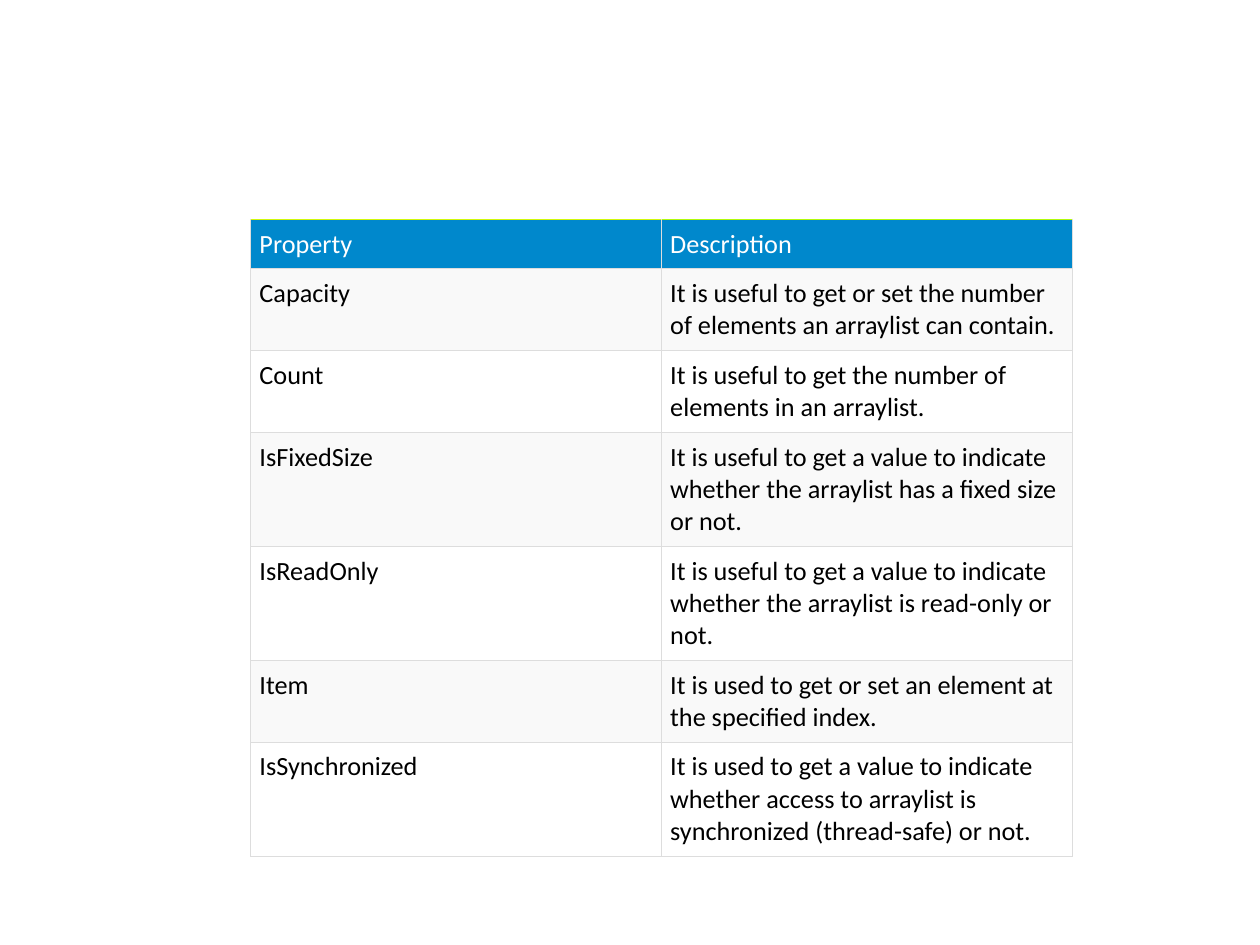
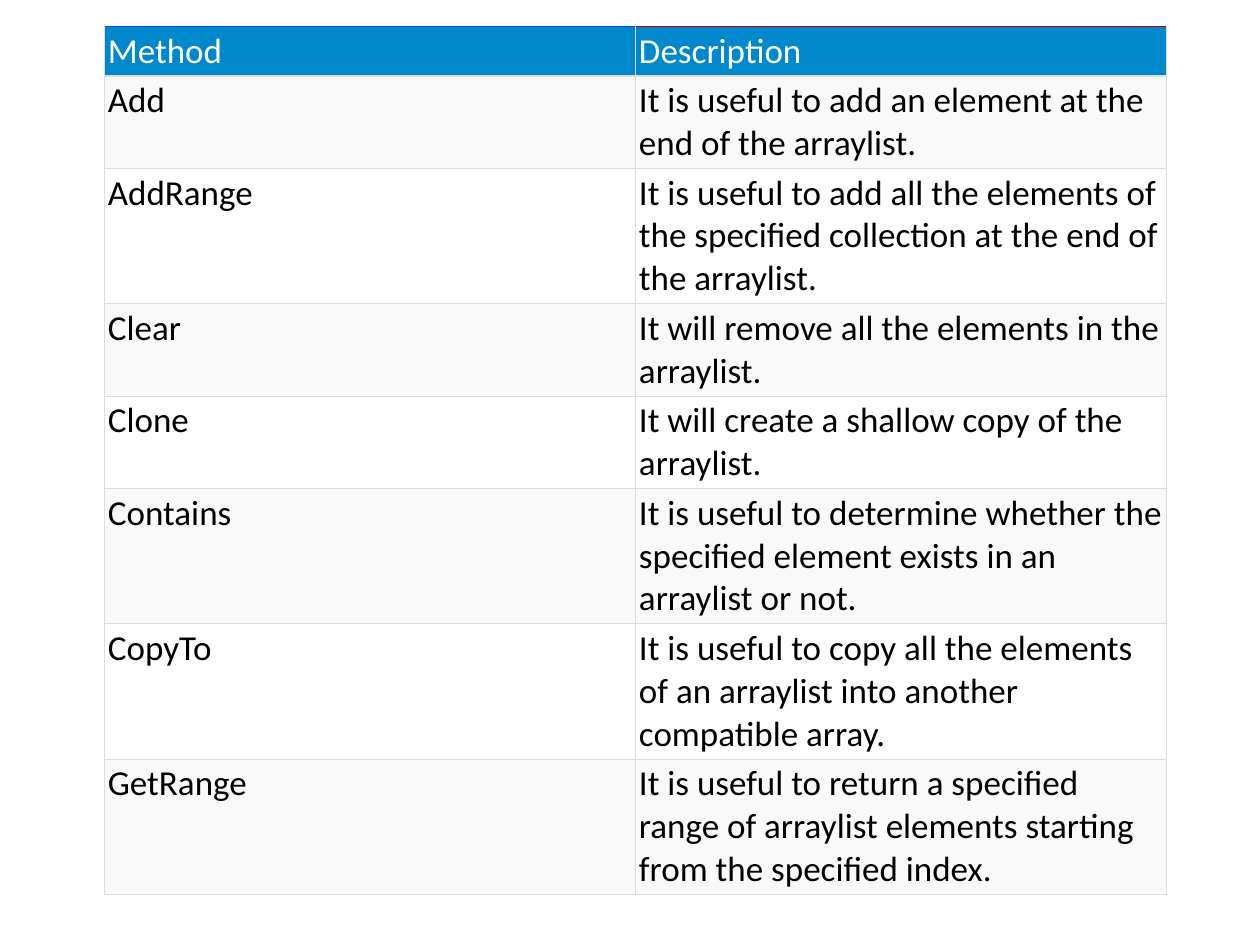
"""Build two slides of reference tables for the properties and methods of an arraylist."""
from dataclasses import dataclass

import pptx
import pptx.dml.color
import pptx.enum.text
import pptx.oxml.ns
import pptx.slide
import pptx.table
import pptx.util
from lxml import etree

RGBColor = pptx.dml.color.RGBColor
Inches = pptx.util.Inches
Pt = pptx.util.Pt

SLIDE_WIDTH = Inches(10)
SLIDE_HEIGHT = Inches(7.5)
BLANK_LAYOUT = 6
FONT = "Calibri"
LINE_SPACING = 1.22
BORDER_WIDTH = Pt(0.75)

HEADER_BLUE = RGBColor(0x00, 0x88, 0xCC)
WHITE = RGBColor(0xFF, 0xFF, 0xFF)
BLACK = RGBColor(0x00, 0x00, 0x00)
STRIPE_GREY = RGBColor(0xF9, 0xF9, 0xF9)
BORDER_GREY = RGBColor(0xDD, 0xDD, 0xDD)
LIME = RGBColor(0xD0, 0xF8, 0x0B)
YELLOW_GREEN = RGBColor(0xB0, 0xFA, 0x0B)
ROYAL_BLUE = RGBColor(0x00, 0x50, 0xDF)
DARK_RED = RGBColor(0xB0, 0x02, 0x0B)


@dataclass(frozen=True)
class Entry:
    name: str
    description: str
    lines: int = 2


@dataclass(frozen=True)
class ReferenceTable:
    heading: str
    left_percent: float
    top_percent: float
    width_percent: float
    size: int
    inset: float
    header_tops: tuple[RGBColor, RGBColor]
    entries: tuple[Entry, ...]


PROPERTIES = ReferenceTable(
    heading="Property",
    left_percent=19.9,
    top_percent=23.2,
    width_percent=65.2,
    size=15,
    inset=5,
    header_tops=(LIME, YELLOW_GREEN),
    entries=(
        Entry("Capacity", "It is useful to get or set the number of elements an arraylist can contain."),
        Entry("Count", "It is useful to get the number of elements in an arraylist."),
        Entry("IsFixedSize", "It is useful to get a value to indicate whether the arraylist "
              "has a fixed size or not.", 3),
        Entry("IsReadOnly", "It is useful to get a value to indicate whether the arraylist "
              "is read-only or not.", 3),
        Entry("Item", "It is used to get or set an element at the specified index."),
        Entry("IsSynchronized", "It is used to get a value to indicate whether access to arraylist "
              "is synchronized (thread-safe) or not.", 3),
    ),
)

METHODS = ReferenceTable(
    heading="Method",
    left_percent=8.3,
    top_percent=2.8,
    width_percent=84.3,
    size=20,
    inset=1.9,
    header_tops=(ROYAL_BLUE, DARK_RED),
    entries=(
        Entry("Add", "It is useful to add an element at the end of the arraylist."),
        Entry("AddRange", "It is useful to add all the elements of the specified collection "
              "at the end of the arraylist.", 3),
        Entry("Clear", "It will remove all the elements in the arraylist."),
        Entry("Clone", "It will create a shallow copy of the arraylist."),
        Entry("Contains", "It is useful to determine whether the specified element exists "
              "in an arraylist or not.", 3),
        Entry("CopyTo", "It is useful to copy all the elements of an arraylist into another "
              "compatible array.", 3),
        Entry("GetRange", "It is useful to return a specified range of arraylist elements "
              "starting from the specified index.", 3),
    ),
)


def share(length: int, percent: float) -> int:
    """Return a percentage of a slide length."""
    return round(length * percent / 100)


def set_borders(cell: pptx.table._Cell, top: RGBColor) -> None:
    """Outline a cell in grey, with its own colour along the top."""
    qn = pptx.oxml.ns.qn
    properties = cell._tc.get_or_add_tcPr()
    for side in "LRTB":
        line = etree.SubElement(properties, qn(f"a:ln{side}"), w=str(BORDER_WIDTH))
        fill = etree.SubElement(line, qn("a:solidFill"))
        etree.SubElement(fill, qn("a:srgbClr"), val=str(top if side == "T" else BORDER_GREY))


def format_cell(cell: pptx.table._Cell, text: str, design: ReferenceTable,
                fill: RGBColor, ink: RGBColor, top: RGBColor) -> None:
    """Write and style one table cell."""
    set_borders(cell, top)
    cell.fill.solid()
    cell.fill.fore_color.rgb = fill
    inset = Pt(design.inset)
    cell.margin_left = cell.margin_right = cell.margin_top = cell.margin_bottom = inset
    cell.text_frame.text = text
    for span in cell.text_frame.paragraphs[0].runs:
        span.font.name = FONT
        span.font.size = Pt(design.size)
        span.font.bold = False
        span.font.color.rgb = ink


def draw_table(page: pptx.slide.Slide, design: ReferenceTable) -> None:
    """Draw a header row and striped entries, each row as tall as its lines need."""
    rows = (Entry(design.heading, "Description", 1), *design.entries)
    heights = [Pt(2 * design.inset + design.size * LINE_SPACING * row.lines) for row in rows]
    frame = page.shapes.add_table(
        len(rows), 2, share(SLIDE_WIDTH, design.left_percent),
        share(SLIDE_HEIGHT, design.top_percent),
        share(SLIDE_WIDTH, design.width_percent), sum(heights))
    table = frame.table
    for index, (row, height) in enumerate(zip(rows, heights)):
        table.rows[index].height = height
        is_header = index == 0
        stripe = STRIPE_GREY if index % 2 else WHITE
        for column, text in enumerate((row.name, row.description)):
            cell = table.cell(index, column)
            format_cell(cell, text, design,
                        fill=HEADER_BLUE if is_header else stripe,
                        ink=WHITE if is_header else BLACK,
                        top=design.header_tops[column] if is_header else BORDER_GREY)
            if is_header:
                cell.vertical_anchor = pptx.enum.text.MSO_ANCHOR.BOTTOM


def main() -> None:
    """Create the deck and save it."""
    deck = pptx.Presentation()
    deck.slide_width = SLIDE_WIDTH
    deck.slide_height = SLIDE_HEIGHT
    for design in (PROPERTIES, METHODS):
        page = deck.slides.add_slide(deck.slide_layouts[BLANK_LAYOUT])
        draw_table(page, design)
    deck.save("out.pptx")


if __name__ == "__main__":
    main()
